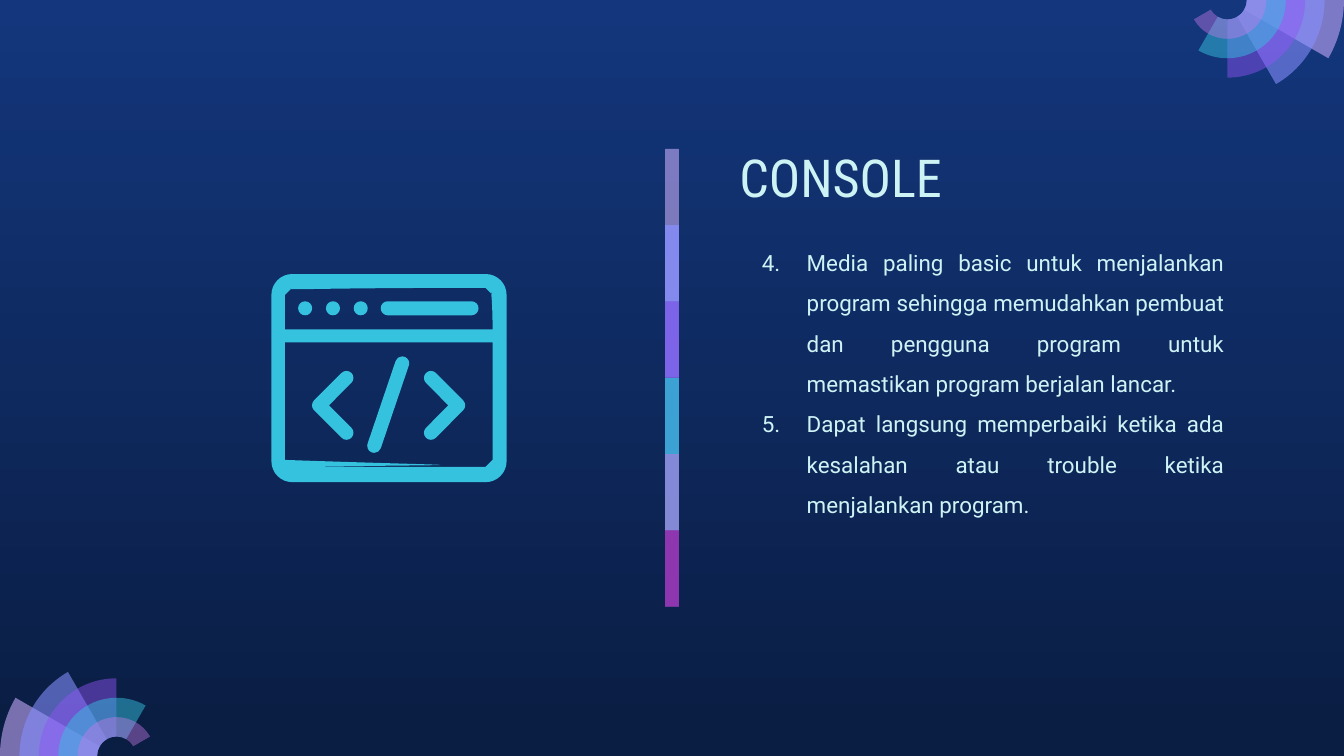
from math import atan2, ceil, cos, degrees, floor, radians, sin, sqrt, tan

from lxml import etree
from pptx import Presentation
from pptx.dml.color import RGBColor
from pptx.enum.shapes import MSO_SHAPE
from pptx.enum.text import MSO_ANCHOR, PP_ALIGN
from pptx.oxml.ns import qn
from pptx.util import Pt

RECT = MSO_SHAPE.RECTANGLE
TOP, MIDDLE = MSO_ANCHOR.TOP, MSO_ANCHOR.MIDDLE
LEFT, JUSTIFY = PP_ALIGN.LEFT, PP_ALIGN.JUSTIFY

NAVY = RGBColor(0x13, 0x36, 0x7C)
DARK = RGBColor(0x0A, 0x1D, 0x42)
PALE = RGBColor(0xCE, 0xF3, 0xF5)
LILAC = RGBColor(0xC8, 0xAE, 0xF8)
MAUVE = RGBColor(0xC8, 0xAC, 0xFD)
BLUE = RGBColor(0x87, 0x8F, 0xFF)
VIOLET = RGBColor(0x91, 0x54, 0xF8)
CYAN = RGBColor(0x35, 0xC2, 0xDF)
ORCHID = RGBColor(0xCA, 0x7B, 0xEB)
PURPLE = RGBColor(0x97, 0x2C, 0xB4)

# Content
WIDTH, HEIGHT = 720, 405
TITLE = "CONSOLE"
FIRST = 4
ITEMS = [
    "Media paling basic untuk menjalankan program sehingga memudahkan pembuat "
    "dan pengguna program untuk memastikan program berjalan lancar.",
    "Dapat langsung memperbaiki ketika ada kesalahan atau trouble ketika "
    "menjalankan program.",
]
# Colour and opacity in percent
BARS = [(LILAC, 59), (BLUE, 74), (VIOLET, 53), (CYAN, 76), (ORCHID, 56), (PURPLE, 74)]
RAYS = [(MAUVE, 58), (BLUE, 58), (VIOLET, 46), (CYAN, 49), (ORCHID, 42)]
# Fan centre and starting angle
FANS = [(62.4, HEIGHT, 180), (WIDTH - 62.4, 0, 0)]
RING = 10.4
# Chevrons: tip x, apex x
MARKS = [(230.9, 245.5), (185.6, 170.9)]
DOTS = [163.45, 178.35, 193.25]

deck = Presentation()
deck.slide_width, deck.slide_height = Pt(WIDTH), Pt(HEIGHT)
slide = deck.slides.add_slide(deck.slide_layouts[6])
shapes = slide.shapes


def paint(shape, color, alpha):
    shape.shadow.inherit = False
    shape.fill.solid()
    shape.fill.fore_color.rgb = color
    shape.line.fill.background()
    if alpha < 100:
        tint = shape.fill._xPr.find(".//" + qn("a:srgbClr"))
        etree.SubElement(tint, qn("a:alpha"), val=str(alpha * 1000))


def arc(x, y, size, start, end):
    """Nodes (x, y, handles) along an arc, split at each quarter turn."""
    low, high = sorted((start, end))
    cuts = {90 * i for i in range(ceil(low / 90), floor(high / 90) + 1)}
    turns = sorted(cuts | {low, high}, reverse=start > end)

    def spot(turn):
        return x + size * cos(radians(turn)), y + size * sin(radians(turn))

    nodes = [(*spot(start), None)]
    for a, b in zip(turns, turns[1:]):
        reach = 4 / 3 * tan(radians(b - a) / 4)
        (ax, ay), (bx, by) = spot(a), spot(b)
        nodes.append((bx, by, [(ax - reach * (ay - y), ay + reach * (ax - x)),
                               (bx + reach * (by - y), by - reach * (bx - x))]))
    return nodes if size else nodes[:1]


def draw(home, loops, color, alpha=100):
    """Trace the nodes, then bend the segments that have handles."""
    pen = home.build_freeform(Pt(loops[0][0][0]), Pt(loops[0][0][1]))
    for i, loop in enumerate(loops):
        spots = [(Pt(x), Pt(y)) for x, y, _ in loop]
        if i:
            pen.move_to(*spots[0])
        pen.add_line_segments(spots[1:], close=False)
        pen.add_line_segments([], close=True)
    shape = pen.convert_to_shape()
    paint(shape, color, alpha)
    bends = [node[2] for loop in loops for node in loop[1:] + [loop[0]]]
    for line, bend in zip(list(shape._element.iter(qn("a:lnTo"))), bends):
        if bend:
            line.tag = qn("a:cubicBezTo")
            for i, (x, y) in enumerate(bend):
                line.insert(i, etree.Element(qn("a:pt"), x=str(Pt(x) - shape.left),
                                             y=str(Pt(y) - shape.top)))


def panel(left, top, right, low, up, down):
    """Outline with corner radius up at the top and down at the bottom."""
    return (arc(left + up, top + up, up, 180, 270)
            + arc(right - up, top + up, up, 270, 360)
            + arc(right - down, low - down, down, 0, 90)
            + arc(left + down, low - down, down, 90, 180))


def write(x, y, w, h, anchor, lines, size, font, align):
    frame = shapes.add_textbox(Pt(x), Pt(y), Pt(w), Pt(h)).text_frame
    frame.word_wrap = True
    frame.vertical_anchor = anchor
    frame.margin_left = frame.margin_right = Pt(7.2)
    frame.margin_top = frame.margin_bottom = Pt(7.2)
    for i, line in enumerate(lines):
        para = frame.paragraphs[0] if i == 0 else frame.add_paragraph()
        para.alignment = align
        run = para.add_run()
        run.text = line
        run.font.size, run.font.name = Pt(size), font
        run.font.color.rgb = PALE
    return frame


# Background
back = slide.background.fill
back.gradient()
back.gradient_angle = 270
for stop, color in zip(back.gradient_stops, (NAVY, DARK)):
    stop.color.rgb = color

# Divider: each bar reaches under the next one
STEP = 40.88
strip = shapes.add_group_shape().shapes
for i, (color, alpha) in enumerate(BARS):
    tall = STEP if i == len(BARS) - 1 else 2 * STEP
    bar = strip.add_shape(RECT, Pt(356.3), Pt(79.8 + i * STEP), Pt(7.4), Pt(tall))
    paint(bar, color, alpha)

# Title and numbered list
write(389, 77, 149.8, 35.3, MIDDLE, [TITLE], 28, "Roboto Condensed", LEFT)
body = write(389.1, 119.1, 274, 210.2, TOP, ITEMS, 12, "Roboto", JUSTIFY)
for para in body.paragraphs:
    para.line_spacing = 1.5
    props = para._p.get_or_add_pPr()
    props.set("marL", str(Pt(36)))
    props.set("indent", str(Pt(-24)))
    ink = etree.SubElement(props, qn("a:buClr"))
    etree.SubElement(ink, qn("a:srgbClr"), val=str(PALE))
    etree.SubElement(props, qn("a:buAutoNum"), type="arabicPeriod", startAt=str(FIRST))

# Browser window with two openings, dots and address bar
PEN, ROW = 3.75, 165.15
icon = shapes.add_group_shape().shapes
draw(icon, [panel(145.4, 146.8, 271.4, 258.3, 11.2, 11.2),
            panel(152.6, 154.2, 263.9, 176.4, 3.8, 0),
            panel(152.6, 183.5, 263.9, 250.2, 0, 3.8)], CYAN)
for x in DOTS:
    draw(icon, [arc(x, ROW, PEN, 0, 360)], CYAN)
draw(icon, [arc(207.7, ROW, PEN, 90, 270) + arc(252.6, ROW, PEN, 270, 450)], CYAN)

# Code marks
MID, RISE = 217.2, 14.7
for tip, apex in MARKS:
    turn = 0 if apex > tip else 180
    spine = abs(apex - tip)
    ends = [MID - RISE, MID + RISE] if turn == 0 else [MID + RISE, MID - RISE]
    crook = apex + (-1 if turn == 0 else 1) * PEN * sqrt(2)
    draw(icon, [arc(tip, ends[0], PEN, turn + 135, turn + 315)
                + arc(apex, MID, PEN, turn - 45, turn + 45)
                + arc(tip, ends[1], PEN, turn + 45, turn + 225)
                + [(crook, MID, None)]], CYAN)
head, foot = (215.5, 194.7), (200.5, 238.9)
lean = degrees(atan2(foot[1] - head[1], foot[0] - head[0]))
draw(icon, [arc(*head, PEN, lean + 90, lean + 270)
            + arc(*foot, PEN, lean - 90, lean + 90)], CYAN)

# Corner fans: each ray is one ring shorter and 30 degrees wider
for x, y, start in FANS:
    fan = shapes.add_group_shape().shapes
    for i, (color, alpha) in enumerate(RAYS):
        end = start + 30 * (i + 1)
        draw(fan, [arc(x, y, RING * (6 - i), start, end)
                   + arc(x, y, RING, end, start)], color, alpha)

deck.save("out.pptx")
